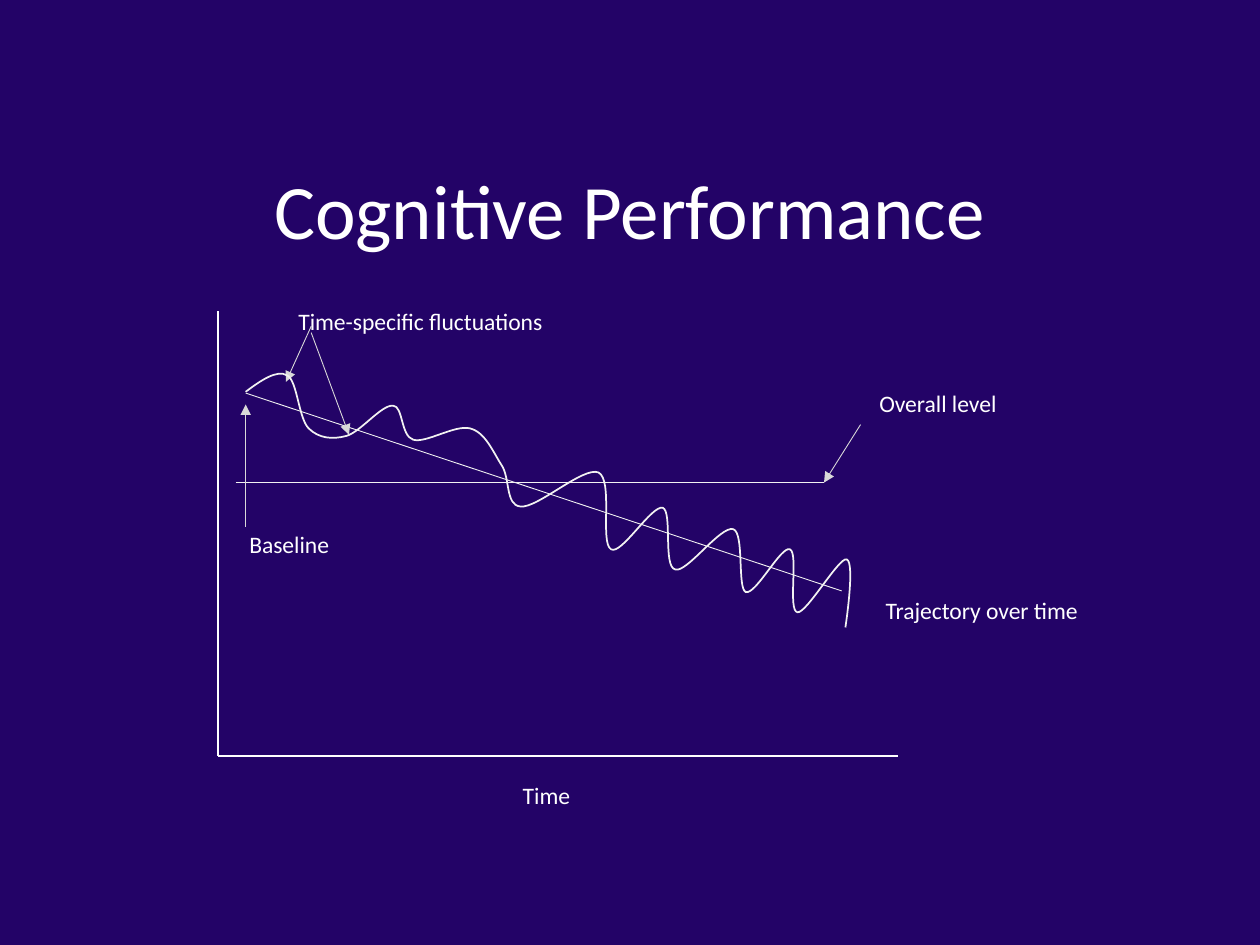
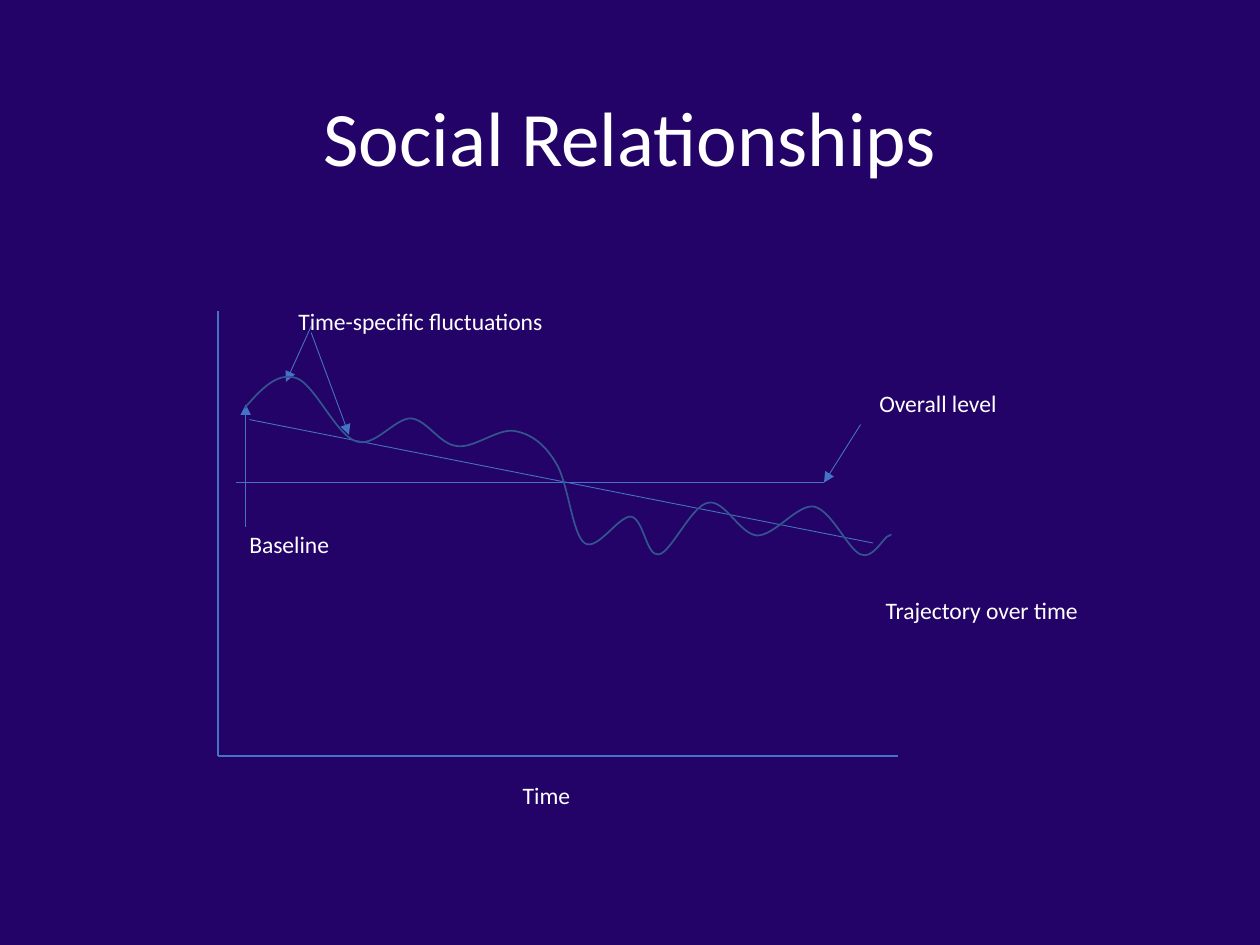
"""Build two slides that sketch change over time in performance and relationships."""
from lxml import etree
from pptx import Presentation
from pptx.dml.color import RGBColor
from pptx.enum.shapes import MSO_CONNECTOR
from pptx.enum.text import MSO_ANCHOR, MSO_AUTO_SIZE, PP_ALIGN
from pptx.oxml.ns import qn
from pptx.util import Inches, Pt

STRAIGHT = MSO_CONNECTOR.STRAIGHT
MIDDLE = MSO_ANCHOR.MIDDLE
CENTER = PP_ALIGN.CENTER
FIT_SHAPE = MSO_AUTO_SIZE.SHAPE_TO_FIT_TEXT

FONT = "Calibri"
TITLE_ONLY = 5
COLORS = {
    "background": "230367",
    "white": "FFFFFF",
    "pale": "F2F2F2",
    "gray": "D9D9D9",
    "blue": "4472C4",
    "dark_blue": "325491",
}

AXES = [((1.73, 2.47), (1.73, 6)), ((1.73, 6), (7.13, 6))]
OVERALL_LEVEL = ((1.87, 3.83), (6.54, 3.83))
ARROWS = [
    ((2.47, 2.59), (2.27, 3.03)),
    ((2.47, 2.64), (2.77, 3.45)),
    ((6.83, 3.37), (6.54, 3.83)),
    ((1.95, 4.18), (1.95, 3.21)),
]
LABELS = [
    ("Time-specific fluctuations", 2.27, 2.39, 2.17),
    ("Overall level", 6.88, 3.04, 1.15),
    ("Trajectory over time", 6.93, 4.68, 1.75),
    ("Baseline", 1.88, 4.16, 0.85),
    ("Time", 4.05, 6.15, 0.58),
]
SLIDES = [
    {
        "title": "Cognitive Performance",
        "title_box": (0.69, 1.16, 8.62, 1.09),
        "colors": {"axis": "white", "trend": "pale", "arrow": "gray", "curve": "pale"},
        "trajectory": ((1.95, 3.12), (6.68, 4.69)),
        "curve_box": (1.95, 2.96, 4.8, 2.01),
        "curve_start": (1.95, 3.11),
        "curve": [
            ((2.07, 3.02), (2.2, 2.93), (2.28, 2.98)),
            ((2.36, 3.02), (2.37, 3.32), (2.45, 3.4)),
            ((2.53, 3.48), (2.64, 3.49), (2.75, 3.46)),
            ((2.86, 3.43), (3.03, 3.21), (3.12, 3.22)),
            ((3.2, 3.22), (3.18, 3.46), (3.28, 3.49)),
            ((3.38, 3.52), (3.61, 3.37), (3.73, 3.4)),
            ((3.85, 3.43), (3.91, 3.58), (3.98, 3.69)),
            ((4.05, 3.79), (4.01, 4.01), (4.13, 4.02)),
            ((4.26, 4.04), (4.63, 3.7), (4.75, 3.75)),
            ((4.87, 3.81), (4.76, 4.31), (4.85, 4.36)),
            ((4.93, 4.41), (5.17, 4.01), (5.26, 4.03)),
            ((5.34, 4.06), (5.26, 4.5), (5.36, 4.52)),
            ((5.45, 4.55), (5.72, 4.17), (5.82, 4.2)),
            ((5.91, 4.23), (5.85, 4.67), (5.92, 4.7)),
            ((6, 4.72), (6.2, 4.33), (6.27, 4.36)),
            ((6.34, 4.39), (6.25, 4.85), (6.33, 4.86)),
            ((6.4, 4.87), (6.66, 4.42), (6.72, 4.44)),
            ((6.79, 4.46), (6.71, 4.98), (6.71, 4.98)),
        ],
    },
    {
        "title": "Social Relationships",
        "title_box": (0.69, 0.4, 8.62, 1.45),
        "colors": {"axis": "blue", "trend": "blue", "arrow": "blue", "curve": "dark_blue"},
        "trajectory": ((1.98, 3.33), (6.93, 4.31)),
        "curve_box": (1.94, 2.99, 5.13, 1.42),
        "curve_start": (1.94, 3.24),
        "curve": [
            ((2.07, 3.09), (2.2, 2.95), (2.35, 3)),
            ((2.49, 3.04), (2.67, 3.45), (2.82, 3.5)),
            ((2.97, 3.56), (3.13, 3.32), (3.26, 3.32)),
            ((3.39, 3.33), (3.49, 3.53), (3.63, 3.54)),
            ((3.76, 3.56), (3.95, 3.4), (4.08, 3.42)),
            ((4.21, 3.44), (4.32, 3.52), (4.41, 3.67)),
            ((4.51, 3.82), (4.54, 4.24), (4.64, 4.31)),
            ((4.74, 4.38), (4.91, 4.09), (5.01, 4.1)),
            ((5.11, 4.12), (5.13, 4.42), (5.23, 4.4)),
            ((5.33, 4.38), (5.49, 4.01), (5.62, 3.99)),
            ((5.75, 3.96), (5.87, 4.24), (6.01, 4.25)),
            ((6.15, 4.25), (6.33, 4), (6.46, 4.02)),
            ((6.6, 4.05), (6.73, 4.36), (6.83, 4.4)),
            ((6.92, 4.44), (7, 4.29), (7.04, 4.26)),
            ((7.08, 4.24), (7.07, 4.24), (7.07, 4.25)),
        ],
    },
]


def rgb(name):
    return RGBColor.from_string(COLORS[name])


def style_text(paragraph, size):
    paragraph.font.name = FONT
    paragraph.font.size = Pt(size)
    paragraph.font.color.rgb = rgb("white")


def style_line(line, color, width):
    line.color.rgb = rgb(color)
    line.width = Pt(width)


def place(shape, box):
    shape.left, shape.top, shape.width, shape.height = map(Inches, box)


def set_title(slide, text, box):
    title = slide.shapes.title
    place(title, box)
    title.text_frame.text = text
    title.text_frame.vertical_anchor = MIDDLE
    paragraph = title.text_frame.paragraphs[0]
    paragraph.alignment = CENTER
    paragraph.line_spacing = 0.9
    style_text(paragraph, 44)


def add_line(slide, ends, color, width=0.5, arrow=False):
    start, end = ends
    connector = slide.shapes.add_connector(STRAIGHT, *map(Inches, start + end))
    style_line(connector.line, color, width)
    if arrow:
        outline = connector.line._get_or_add_ln()
        etree.SubElement(outline, qn("a:tailEnd"), type="triangle")
    etree.SubElement(connector._element.spPr, qn("a:effectLst"))


def add_label(slide, text, left, top, width):
    box = slide.shapes.add_textbox(*map(Inches, (left, top, width, 0.33)))
    frame = box.text_frame
    frame.text = text
    frame.word_wrap = False
    frame.auto_size = FIT_SHAPE
    style_text(frame.paragraphs[0], 13.5)


def bend_outline(curve, start, segments):
    outline = next(curve._element.iter(qn("a:path")))
    for child in list(outline):
        outline.remove(child)
    outline.set("w", str(curve.width))
    outline.set("h", str(curve.height))
    commands = [("a:moveTo", [start])]
    commands += [("a:cubicBezTo", segment) for segment in segments]
    for tag, points in commands:
        command = etree.SubElement(outline, qn(tag))
        for x, y in points:
            etree.SubElement(
                command, qn("a:pt"),
                x=str(Inches(x) - curve.left), y=str(Inches(y) - curve.top),
            )


def add_curve(slide, box, start, segments, color):
    builder = slide.shapes.build_freeform(*map(Inches, start))
    ends = [tuple(map(Inches, segment[-1])) for segment in segments]
    builder.add_line_segments(ends, close=False)
    curve = builder.convert_to_shape()
    place(curve, box)
    bend_outline(curve, start, segments)
    curve.shadow.inherit = False
    curve.fill.background()
    style_line(curve.line, color, 1)


def add_slide(presentation, content):
    slide = presentation.slides.add_slide(presentation.slide_layouts[TITLE_ONLY])
    colors = content["colors"]
    set_title(slide, content["title"], content["title_box"])
    for axis in AXES:
        add_line(slide, axis, colors["axis"], 1.5)
    for trend in (OVERALL_LEVEL, content["trajectory"]):
        add_line(slide, trend, colors["trend"])
    for arrow in ARROWS:
        add_line(slide, arrow, colors["arrow"], arrow=True)
    for label in LABELS:
        add_label(slide, *label)
    add_curve(
        slide, content["curve_box"], content["curve_start"], content["curve"], colors["curve"]
    )


def main():
    presentation = Presentation()
    presentation.slide_width = Inches(10)
    presentation.slide_height = Inches(7.5)
    background = presentation.slide_master.background.fill
    background.solid()
    background.fore_color.rgb = rgb("background")
    for content in SLIDES:
        add_slide(presentation, content)
    presentation.save("out.pptx")


if __name__ == "__main__":
    main()
